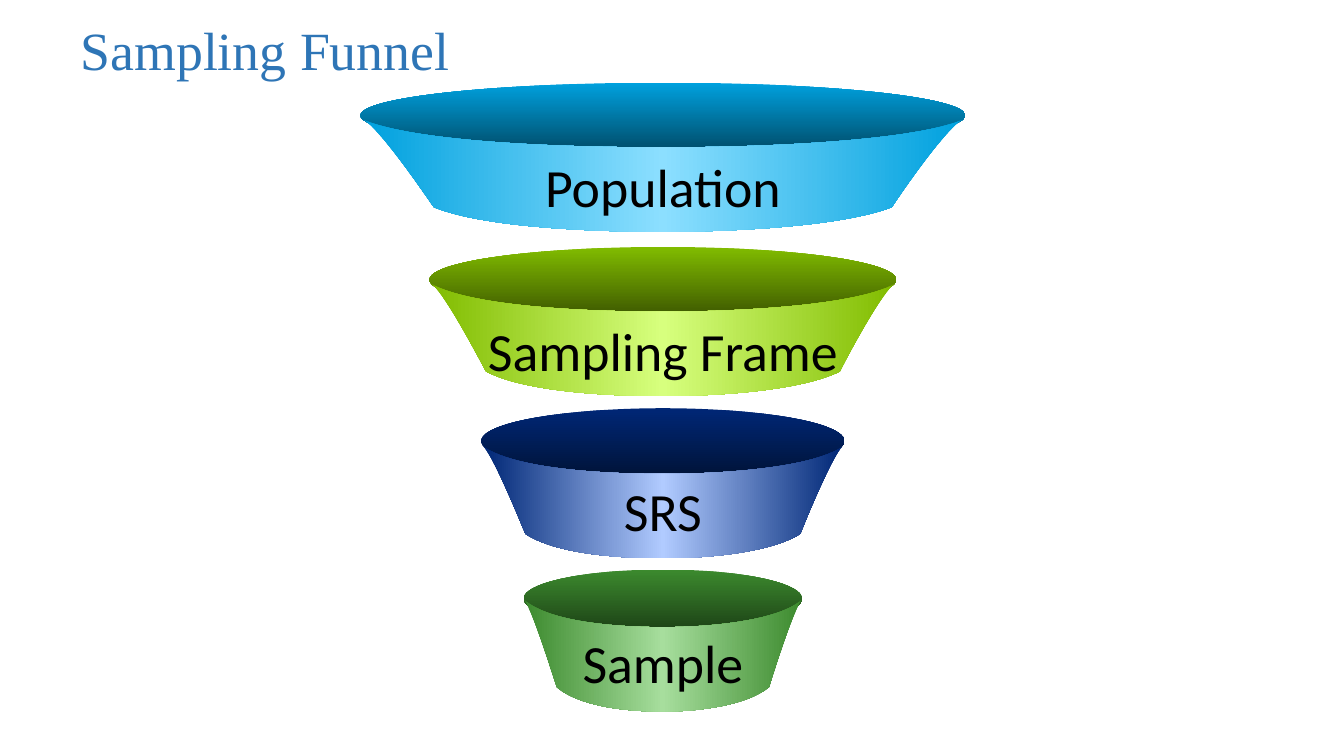
from lxml import etree
from pptx import Presentation
from pptx import util as u
from pptx.dml.color import RGBColor
from pptx.enum import shapes, text
from pptx.oxml.ns import qn

COLORS = {"title": "2E75B6", "label": "000000",
          "blue": "00A1DE", "blue_dark": "00506F", "blue_light": "8CDFFF",
          "lime": "81BC00", "lime_dark": "415E00", "lime_light": "D7FF7E",
          "navy": "002776", "navy_dark": "00143B", "navy_light": "B1CBFF",
          "green": "3C8A2E", "green_dark": "1E4517", "green_light": "A7DE9D"}

# The slide is a grid of 1333 columns by 750 rows
CELL = u.Inches(0.01)
CENTRE = 657.5
BODY_HEIGHT, LABEL_WIDTH, LABEL_HEIGHT = 111, 380, 65

# Funnel body in thousandths of its width and height:
# the start, then two control points and an end point for each curve
BODY_START = (1000, 0)
BODY_POINTS = [
    (970, 100), (900, 640), (883, 780),
    (800, 950), (620, 1000), (500, 1000),
    (380, 1000), (200, 960), (117, 780),
    (100, 650), (30, 100), (0, 0),
    (90, 200), (330, 245), (500, 245),
    (670, 245), (915, 190), (1000, 0),
]

# Label, colour, rim (top, width, height), body (top, width), label top
LEVELS = [
    ("Population", "blue", (82, 600, 65), (119, 593), 152),
    ("Sampling Frame", "lime", (245, 463, 65), (282, 458), 315),
    ("SRS", "navy", (405, 360, 65), (443, 356), 473),
    ("Sample", "green", (565, 276, 58), (595, 275), 624),
]


def paint(shape, names, degrees):
    """Fill with evenly spaced gradient stops, without outline or shadow."""
    shape.shadow.inherit = False
    shape.line.fill.background()
    shape.fill.gradient()
    gradient = shape._element.spPr.find(qn("a:gradFill"))
    stops = gradient.find(qn("a:gsLst"))
    for stop in list(stops):
        stops.remove(stop)
    for i, name in enumerate(names):
        stop = etree.SubElement(stops, qn("a:gs"), pos=str(100000 * i // (len(names) - 1)))
        etree.SubElement(stop, qn("a:srgbClr"), val=COLORS[name])
    gradient.find(qn("a:lin")).set("ang", str(degrees * 60000))


def write(left, top, width, height, words, font, color, align, insets):
    box = page.shapes.add_textbox(*[int(n * CELL) for n in (left, top, width, height)])
    frame = box.text_frame
    frame.word_wrap = True
    frame.vertical_anchor = text.MSO_ANCHOR.MIDDLE
    frame.margin_left = frame.margin_right = insets[0] * CELL
    frame.margin_top = frame.margin_bottom = insets[1] * CELL
    para = frame.paragraphs[0]
    para.alignment = align
    span = para.add_run()
    span.text = words
    span.font.name = font
    span.font.size = u.Pt(38.4)
    span.font.color.rgb = RGBColor.from_string(COLORS[color])
    return frame


deck = Presentation()
deck.slide_width, deck.slide_height = 1333 * CELL, 750 * CELL
page = deck.slides.add_slide(deck.slide_layouts[6])

# Funnel levels
for words, color, (rim_top, rim_width, rim_height), (body_top, body_width), label_top in LEVELS:
    # Rim
    rim = page.shapes.add_shape(
        shapes.MSO_SHAPE.OVAL, int((CENTRE - rim_width / 2) * CELL), rim_top * CELL,
        rim_width * CELL, rim_height * CELL)
    paint(rim, [color, color + "_dark"], 90)

    # Body
    builder = page.shapes.build_freeform(
        *BODY_START, scale=(body_width * CELL / 1000, BODY_HEIGHT * CELL / 1000))
    builder.add_line_segments(BODY_POINTS, close=True)
    body = builder.convert_to_shape(int((CENTRE - body_width / 2) * CELL), body_top * CELL)
    paint(body, [color, color + "_light", color], 0)

    # Every three line segments become one Bezier curve
    segments = list(body._element.iter(qn("a:lnTo")))
    for first, second, third in zip(segments[::3], segments[1::3], segments[2::3]):
        first.tag = qn("a:cubicBezTo")
        for segment in (second, third):
            first.append(segment[0])
            segment.getparent().remove(segment)

# Labels
for words, *_, label_top in LEVELS:
    label = write(CENTRE - LABEL_WIDTH / 2, label_top, LABEL_WIDTH, LABEL_HEIGHT, words,
                  "Calibri", "label", text.PP_ALIGN.CENTER, (0, 0))
    label.auto_size = text.MSO_AUTO_SIZE.SHAPE_TO_FIT_TEXT

# Title
write(68, 1, 1080, 96, "Sampling Funnel", "Times New Roman", "title",
      text.PP_ALIGN.LEFT, (12, 6))

deck.save("out.pptx")
